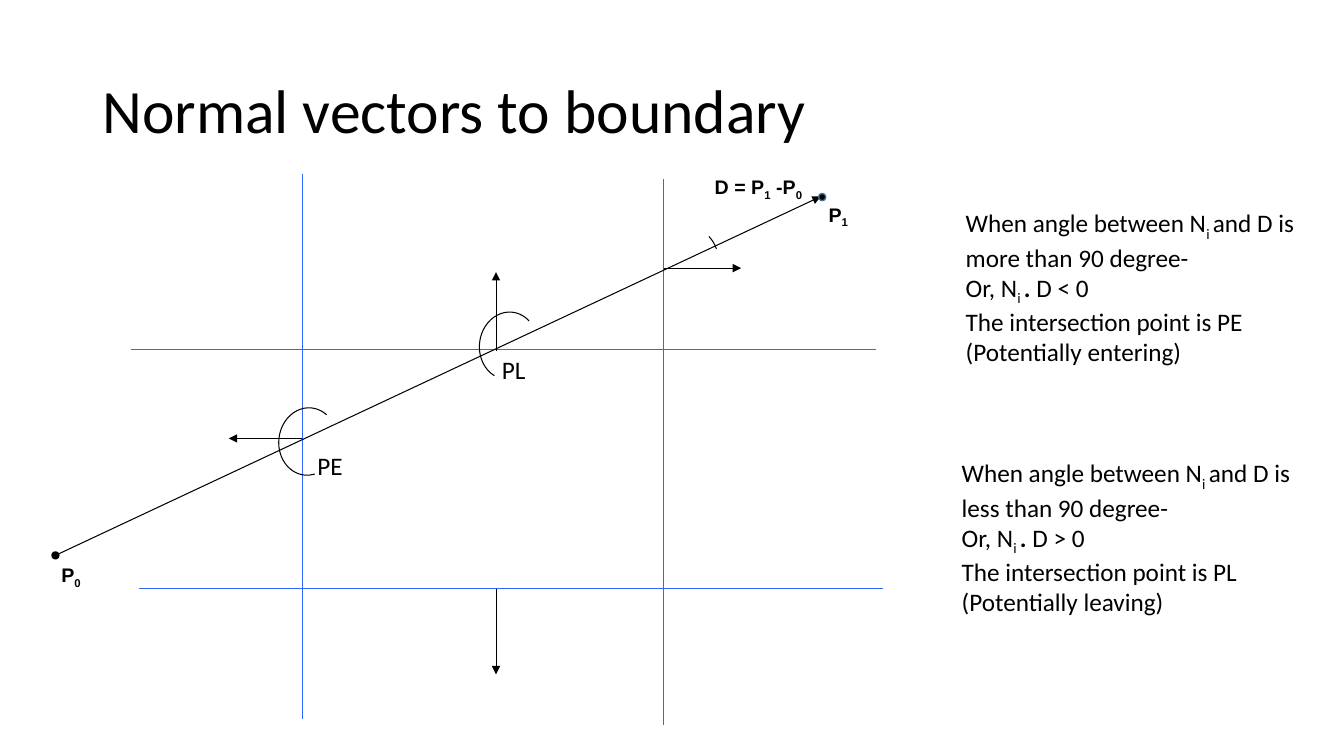
from pptx import Presentation
from pptx.dml.color import RGBColor
from pptx.enum.shapes import MSO_CONNECTOR as Link, MSO_SHAPE as Preset
from pptx.enum.text import MSO_ANCHOR as Anchor
from pptx.oxml.ns import qn
from pptx.util import Inches, Pt
from lxml.etree import SubElement

BLACK = RGBColor(0x00, 0x00, 0x00)
CLIP_BLUE = RGBColor(0x33, 0x66, 0xFF)
DOT_EDGE = RGBColor(0x42, 0x71, 0x9B)
SUB, BOLD = "sub", "bold"


def add_text(slide, paragraphs, left, top, width, height, size=18, font="Calibri",
             bold=False, anchor=Anchor.TOP, spacing=None, wrap=True):
    box = slide.shapes.add_textbox(Inches(left), Inches(top), Inches(width), Inches(height))
    frame = box.text_frame
    frame.word_wrap = wrap
    frame.vertical_anchor = anchor
    for index, pieces in enumerate(paragraphs):
        paragraph = frame.paragraphs[0] if index == 0 else frame.add_paragraph()
        if spacing:
            paragraph.line_spacing = spacing
        for text, style in pieces:
            run = paragraph.add_run()
            run.text = text
            run.font.name = font
            run.font.size = Pt(size)
            run.font.bold = bold or style == BOLD
            run.font.color.rgb = BLACK
            if style == SUB:
                run._r.get_or_add_rPr().set("baseline", "-25000")


def add_line(slide, start, end, color=BLACK, head=None, tail=None):
    line = slide.shapes.add_connector(Link.STRAIGHT, *map(Inches, start + end))
    line.line.color.rgb = color
    line.line.width = Pt(0.75)
    outline = line.line._get_or_add_ln()
    for tag, kind in (("a:headEnd", head), ("a:tailEnd", tail)):
        if kind:
            SubElement(outline, qn(tag)).set("type", kind)
    SubElement(line._element.spPr, qn("a:effectLst"))


def add_angle(slide, left, top, start, end):
    arc = slide.shapes.add_shape(Preset.ARC, Inches(left), Inches(top), Inches(0.67), Inches(0.58))
    arc.shadow.inherit = False
    arc.fill.background()
    arc.line.color.rgb = BLACK
    arc.line.width = Pt(0.75)
    arc.rotation = 276.3
    arc.adjustments[0] = start * 0.6
    arc.adjustments[1] = end * 0.6


def add_end_dot(slide, left, top):
    dot = slide.shapes.add_shape(Preset.OVAL, Inches(left), Inches(top), Inches(0.07), Inches(0.07))
    dot.shadow.inherit = False
    dot.fill.solid()
    dot.fill.fore_color.rgb = BLACK
    dot.line.color.rgb = DOT_EDGE
    dot.line.width = Pt(1)


def title(slide, left, top, width, height):
    add_text(slide, [[("Normal vectors to boundary", None)]], left, top, width, height,
             size=44, anchor=Anchor.MIDDLE, spacing=0.9)


def clipping_diagram(slide, left, top):
    def at(x, y):
        return left + x, top + y

    boundaries = [((2.5, 0.03), (2.5, 5.43)), ((6.08, 0.08), (6.08, 5.49)),
                  ((8.19, 1.77), (0.8, 1.77)), ((8.26, 4.14), (0.88, 4.14))]
    for start, end in boundaries:
        add_line(slide, at(*start), at(*end), CLIP_BLUE)

    normals = [((2.5, 2.65), (1.77, 2.65)), ((6.09, 0.96), (6.85, 0.96)),
               ((4.42, 1.78), (4.42, 1.0)), ((4.42, 4.14), (4.42, 4.99))]
    for start, end in normals:
        add_line(slide, at(*start), at(*end), tail="triangle")

    add_line(slide, at(0.05, 3.81), at(7.64, 0.25), head="oval", tail="triangle")
    add_end_dot(slide, *at(7.62, 0.22))

    point_labels = [([("P", None), ("0", SUB)], 0.01, 3.84),
                    ([("P", None), ("1", SUB)], 7.62, 0.26),
                    ([("D = P", None), ("1", SUB), (" -P", None), ("0", SUB)], 6.49, -0.01)]
    for pieces, x, y in point_labels:
        add_text(slide, [pieces], *at(x, y), 1.16, 0.34, size=14, font="Arial", bold=True)

    for crossing, x, y in (("PE", 2.55, 2.72), ("PL", 4.38, 1.77)):
        add_text(slide, [[(crossing, None)]], *at(x, y), 0.45, 0.4, wrap=False)

    angles = [(2.22, 2.39, 162, 28.54), (4.21, 1.44, 199.2, 33.25), (6.0, 0.61, 31.33, 57.77)]
    for x, y, start, end in angles:
        add_angle(slide, *at(x, y), start, end)


def rule_note(slide, left, top, comparison, sign, point, meaning):
    add_text(slide, [
        [("When angle between N", None), ("i ", SUB),
         (f"and D is {comparison} than 90 degree-", None)],
        [("Or, N", None), ("i ", SUB), (". ", BOLD), (f"D {sign} 0", None)],
        [(f"The intersection point is {point}", None)],
        [(f"(Potentially {meaning})", None)],
    ], left, top, 3.46, 1.62)


def main():
    deck = Presentation()
    deck.slide_width = Inches(13.33)
    deck.slide_height = Inches(7.5)
    slide = deck.slides.add_slide(deck.slide_layouts[6])
    title(slide, 0.92, 0.4, 11.5, 1.45)
    clipping_diagram(slide, 0.5, 1.7)
    rule_note(slide, 9.48, 2.01, "more", "<", "PE", "entering")
    rule_note(slide, 9.44, 4.49, "less", ">", "PL", "leaving")
    deck.save("out.pptx")


if __name__ == "__main__":
    main()
